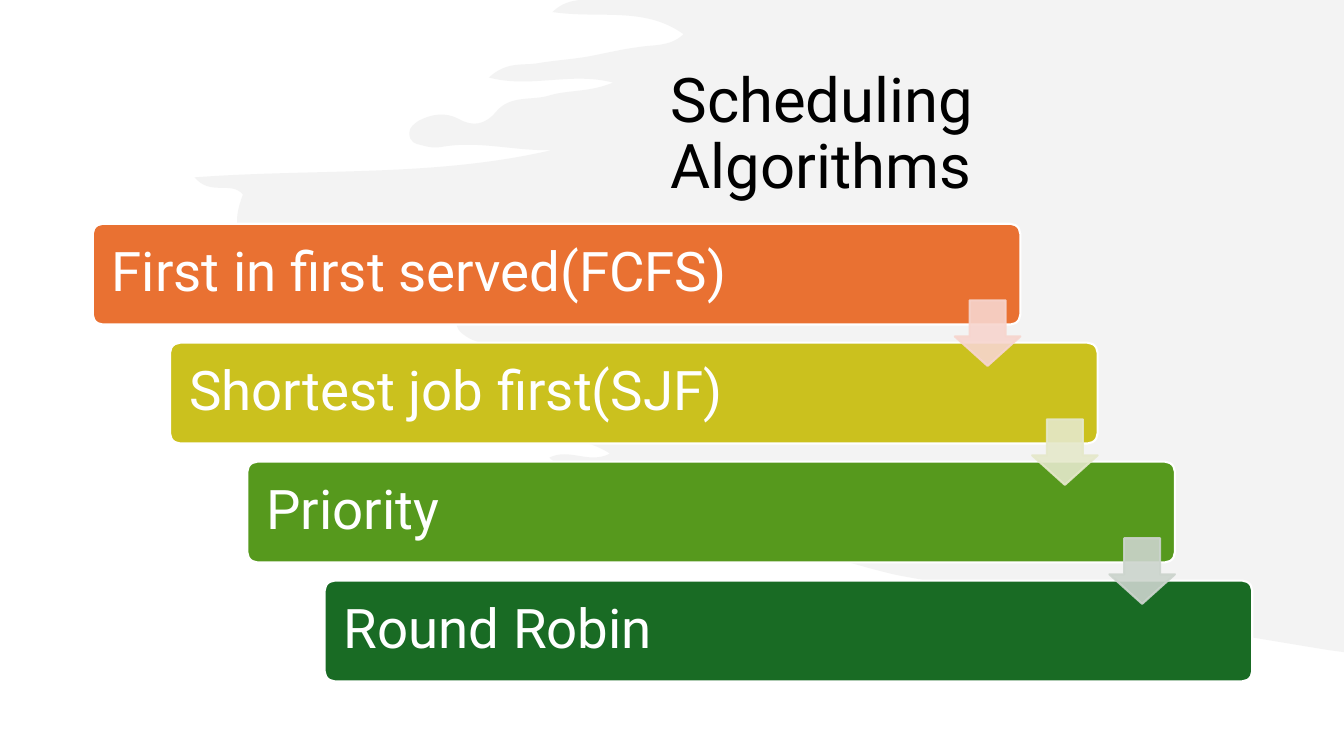
from lxml import etree
from pptx import Presentation
from pptx.dml.color import RGBColor
from pptx.enum.shapes import MSO_SHAPE
from pptx.enum.text import MSO_ANCHOR, MSO_AUTO_SIZE, PP_ALIGN
from pptx.oxml.ns import qn
from pptx.util import Inches, Pt

ROUNDED = MSO_SHAPE.ROUNDED_RECTANGLE
DOWN_ARROW = MSO_SHAPE.DOWN_ARROW
MIDDLE = MSO_ANCHOR.MIDDLE
LEFT = PP_ALIGN.LEFT
NO_AUTOFIT = MSO_AUTO_SIZE.NONE

TITLE_ONLY = 5
FONT = "Roboto"
WHITE = "FFFFFF"

# Each step: text, bar colour, colour of the arrow to the next step
STEPS = [
    ("First in first served(FCFS)", "E97132", "F7D5CE"),
    ("Shortest job first(SJF)", "CBC11E", "E5E8CA"),
    ("Priority", "56991D", "CCD4CD"),
    ("Round Robin", "196B24", None),
]
BAR_LEFT, BAR_TOP, BAR_WIDTH, BAR_HEIGHT = 0.92, 2.22, 9.2, 1
STEP_RIGHT, STEP_DOWN = 2.3 / 3, 1.18
ARROW_SIZE, ARROW_DROP = 0.65, 0.76

# Brush edge from the top to the right: two control points and an end point
BRUSH_START = (5.75, 0)
BRUSH_CURVES = [
    (5.67, 0.01, 5.57, 0.03, 5.48, 0.12), (5.95, 0.19, 6.39, 0.06, 6.78, 0.34),
    (6.64, 0.47, 6.48, 0.44, 6.32, 0.47), (6.16, 0.49, 6, 0.53, 5.84, 0.56),
    (5.67, 0.59, 5.49, 0.6, 5.32, 0.63), (5.18, 0.65, 5.02, 0.61, 4.85, 0.77),
    (5.27, 0.88, 5.66, 0.71, 6.08, 0.82), (5.84, 0.92, 5.63, 0.89, 5.44, 0.95),
    (5.27, 1, 5.06, 0.94, 4.92, 1.11), (4.81, 1.24, 4.69, 1.26, 4.55, 1.18),
    (4.42, 1.11, 4.28, 1.13, 4.15, 1.2), (4.11, 1.23, 4.06, 1.26, 4.06, 1.32),
    (4.06, 1.41, 4.12, 1.43, 4.18, 1.44), (4.24, 1.46, 4.31, 1.47, 4.37, 1.46),
    (4.74, 1.39, 5.1, 1.5, 5.47, 1.49), (4.31, 1.76, 3.14, 1.67, 1.93, 1.76),
    (2.09, 1.95, 2.29, 1.79, 2.41, 1.93), (2.3, 2.22, 2.34, 2.37, 2.58, 2.39),
    (2.8, 2.41, 3.04, 2.31, 3.16, 2.65), (3.2, 2.76, 3.41, 2.73, 3.55, 2.75),
    (3.84, 2.79, 4.14, 2.75, 4.42, 2.88), (4.53, 2.93, 4.6, 2.97, 4.55, 3.11),
    (4.49, 3.25, 4.56, 3.3, 4.66, 3.36), (4.73, 3.4, 4.83, 3.39, 4.89, 3.52),
    (4.28, 3.5, 3.69, 3.4, 3.09, 3.5), (3.75, 3.74, 4.47, 3.73, 5.12, 4.02),
    (5.1, 4.12, 4.95, 4.07, 4.94, 4.22), (5.28, 4.38, 5.69, 4.27, 6.05, 4.5),
    (5.84, 4.61, 5.65, 4.44, 5.45, 4.54), (5.52, 4.69, 8.4, 5.61, 8.92, 5.71),
    (9.78, 5.87, 11.95, 6.25, 13.18, 6.45),
]
BRUSH_CORNERS = [(13.33, 6.47), (13.33, 0)]


def paint_fill(fill, color, opacity=100):
    """Give a solid fill, also that of a line, its colour and opacity in percent."""
    fill.solid()
    fill.fore_color.rgb = RGBColor.from_string(color)
    if opacity < 100:
        color_element = fill._xPr.find(qn("a:solidFill"))[0]
        etree.SubElement(color_element, qn("a:alpha"), val=str(opacity * 1000))


def write_text(text_frame, text, size, color):
    text_frame.word_wrap = True
    text_frame.auto_size = NO_AUTOFIT
    text_frame.vertical_anchor = MIDDLE
    paragraph = text_frame.paragraphs[0]
    paragraph.alignment = LEFT
    paragraph.line_spacing = 0.9
    run = paragraph.add_run()
    run.text = text
    run.font.name = FONT
    run.font.size = Pt(size)
    paint_fill(run.font.fill, color)


def bend_edges(freeform, curves):
    """Turn the first straight edges of a freeform into cubic curves."""
    edges = list(freeform._element.iter(qn("a:lnTo")))
    for edge, curve in zip(edges, curves):
        edge.tag = qn("a:cubicBezTo")
        for point in list(edge):
            edge.remove(point)
        for x, y in zip(curve[::2], curve[1::2]):
            etree.SubElement(edge, qn("a:pt"), x=str(Inches(x) - freeform.left),
                             y=str(Inches(y) - freeform.top))


def add_brush_background(slide):
    points = [curve[4:] for curve in BRUSH_CURVES] + BRUSH_CORNERS
    builder = slide.shapes.build_freeform(*[Inches(length) for length in BRUSH_START])
    builder.add_line_segments([(Inches(x), Inches(y)) for x, y in points], close=True)
    brush = builder.convert_to_shape()
    bend_edges(brush, BRUSH_CURVES)
    brush.shadow.inherit = False
    paint_fill(brush.fill, "E8E8E8", 50)
    brush.line.fill.background()
    # Behind the title
    slide.shapes._spTree.insert(2, brush._element)


def add_title(slide, text):
    title = slide.shapes.title
    title.left, title.top = Inches(6.55), Inches(0.31)
    title.width, title.height = Inches(5.86), Inches(2.07)
    write_text(title.text_frame, text, 44, "000000")


def add_block(slide, preset, box, adjustments, fill, line, opacity=100):
    block = slide.shapes.add_shape(preset, *[Inches(length) for length in box])
    block.shadow.inherit = False
    for index, value in enumerate(adjustments):
        block.adjustments[index] = value
    paint_fill(block.fill, fill, opacity)
    paint_fill(block.line.fill, line, opacity)
    block.line.width = Pt(1.5)
    return block


def add_bar(slide, left, top, text, color):
    box = (left, top, BAR_WIDTH, BAR_HEIGHT)
    bar = add_block(slide, ROUNDED, box, [0.1], color, WHITE)
    bar.text_frame.margin_left = Inches(0.16)
    write_text(bar.text_frame, text, 39, WHITE)


def add_arrow(slide, bar_left, bar_top, color):
    left = bar_left + BAR_WIDTH - ARROW_SIZE
    box = (left, bar_top + ARROW_DROP, ARROW_SIZE, ARROW_SIZE)
    add_block(slide, DOWN_ARROW, box, [0.55, 0.45], color, color, 90)


def main():
    presentation = Presentation()
    presentation.slide_width = Inches(13.33)
    presentation.slide_height = Inches(7.5)
    slide = presentation.slides.add_slide(presentation.slide_layouts[TITLE_ONLY])

    add_brush_background(slide)
    add_title(slide, "Scheduling Algorithms")

    places = [(BAR_LEFT + i * STEP_RIGHT, BAR_TOP + i * STEP_DOWN) for i in range(len(STEPS))]
    for (left, top), (text, color, _) in zip(places, STEPS):
        add_bar(slide, left, top, text, color)
    for (left, top), (_, _, arrow_color) in zip(places, STEPS):
        if arrow_color:
            add_arrow(slide, left, top, arrow_color)

    presentation.save("out.pptx")


if __name__ == "__main__":
    main()
